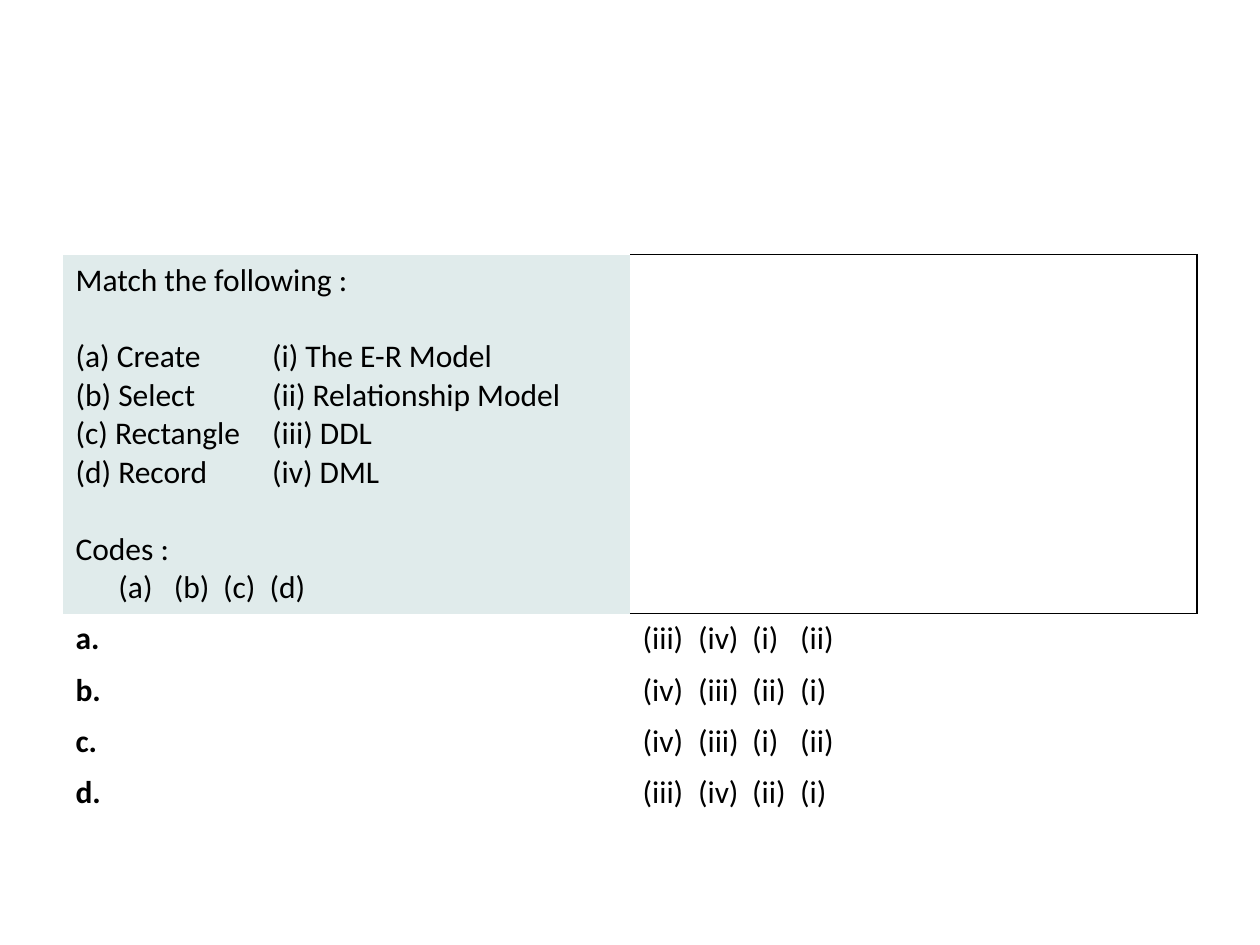
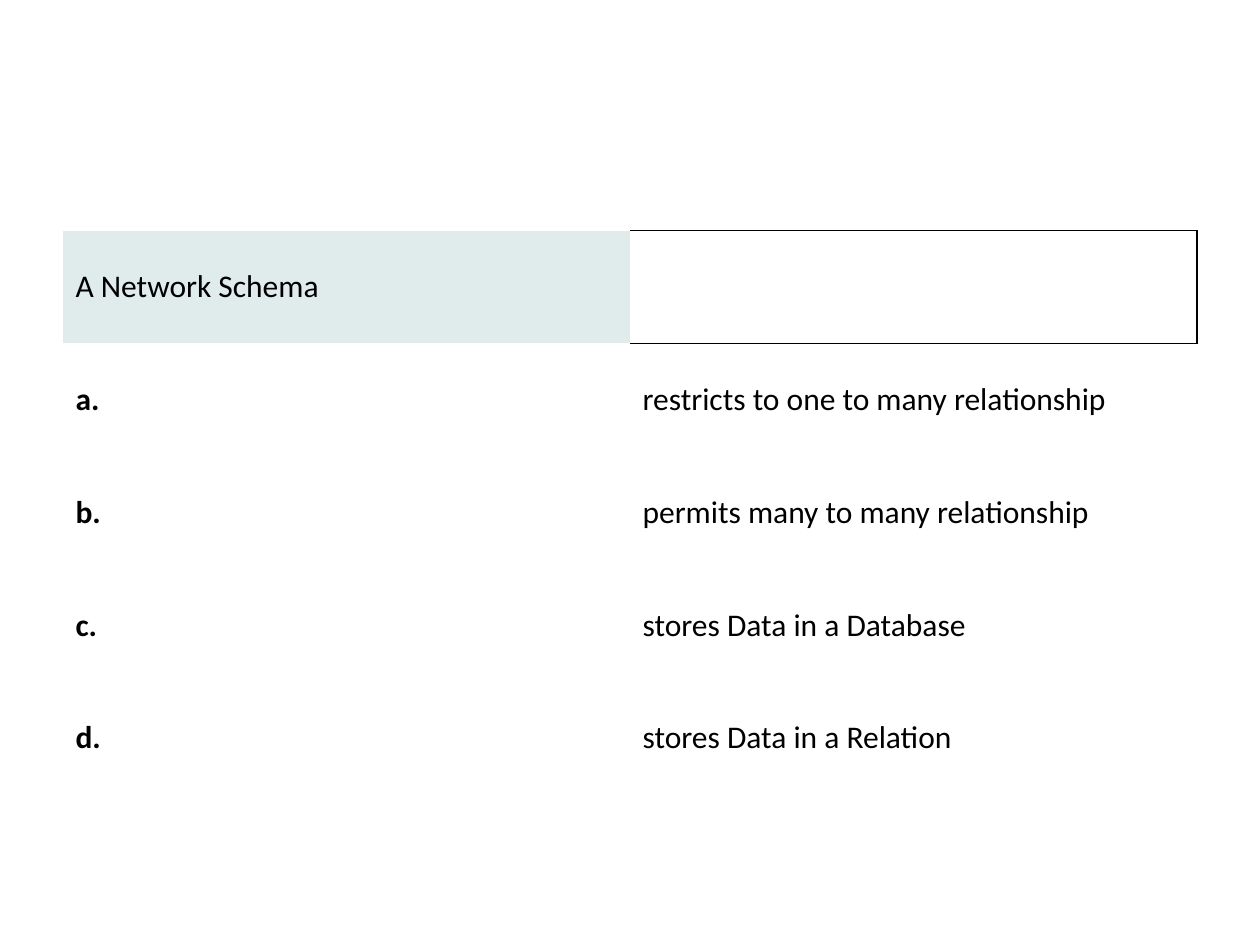
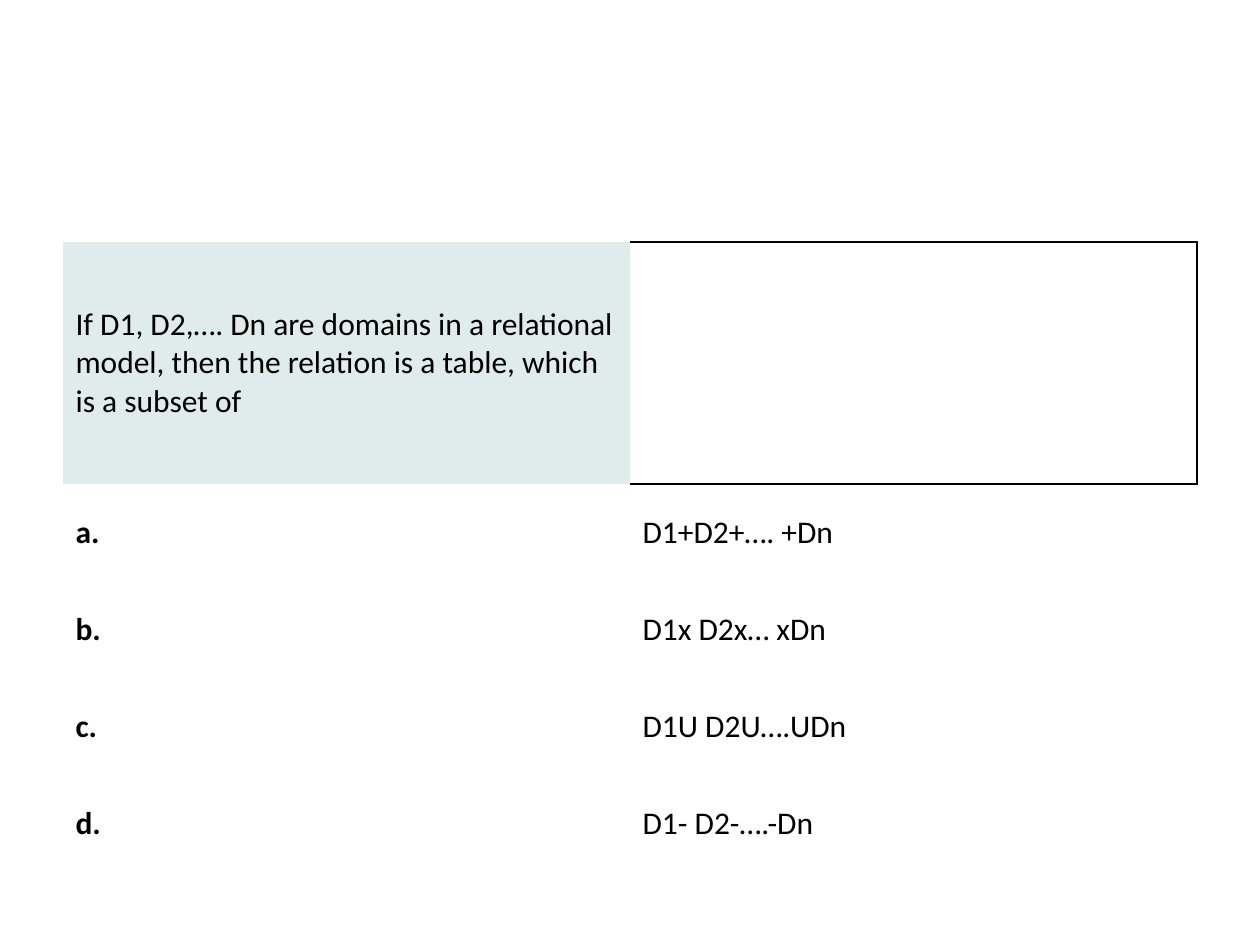
from lxml.etree import SubElement
from pptx import Presentation
from pptx.dml.color import RGBColor
from pptx.enum.text import MSO_ANCHOR
from pptx.oxml.ns import qn
from pptx.util import Inches, Pt

COLORS = {"text": "000000", "border": "000000", "question": "E0EBEB"}
FONT = "Calibri"
NO_STYLE = "{2D5ABB26-0587-4C30-8999-92F81FD0307C}"
MATCH_TABS = [1.56]
CODE_TABS = [0.34, 0.78, 1.17, 1.54]
ANSWER_TABS = [0.44, 0.87, 1.25]

questions = [
    {
        "top": 2.02, "heights": [2.85] + [0.405] * 4,
        "lines": [
            ("Match the following :", 0, []),
            ("(a) Create\t(i) The E-R Model", 22, MATCH_TABS),
            ("(b) Select\t(ii) Relationship Model", 0, MATCH_TABS),
            ("(c) Rectangle\t(iii) DDL", 0, MATCH_TABS),
            ("(d) Record\t(iv) DML", 0, MATCH_TABS),
            ("Codes :", 22, []),
            ("\t(a)\t(b)\t(c)\t(d)", 0, CODE_TABS),
        ],
        "answers": ["(iii)\t(iv)\t(i)\t(ii)", "(iv)\t(iii)\t(ii)\t(i)",
                    "(iv)\t(iii)\t(i)\t(ii)", "(iii)\t(iv)\t(ii)\t(i)"],
    },
    {
        "top": 1.83, "heights": [0.895] * 5,
        "lines": [("A Network Schema", 0, [])],
        "answers": ["restricts to one to many relationship",
                    "permits many to many relationship",
                    "stores Data in a Database",
                    "stores Data in a Relation"],
    },
    {
        "top": 1.92, "heights": [1.92] + [0.77] * 4,
        "lines": [("If D1, D2,…. Dn are domains in a relational model, "
                   "then the relation is a table, which is a subset of", 0, [])],
        "answers": ["D1+D2+…. +Dn", "D1x D2x… xDn",
                    "D1U D2U….UDn", "D1- D2-….-Dn"],
    },
]


def write_cell(cell, lines, bold=False):
    cell.vertical_anchor = MSO_ANCHOR.MIDDLE
    cell.text_frame.text = "\n".join(text for text, _, _ in lines)
    for paragraph, (_, gap, stops) in zip(cell.text_frame.paragraphs, lines):
        paragraph.space_before = Pt(gap)
        if stops:
            tab_list = SubElement(paragraph._p.get_or_add_pPr(), qn("a:tabLst"))
            for stop in stops:
                SubElement(tab_list, qn("a:tab"), pos=str(Inches(stop)), algn="l")
        for run in paragraph.runs:
            run.font.name = FONT
            run.font.size = Pt(18)
            run.font.bold = bold
            run.font.color.rgb = RGBColor.from_string(COLORS["text"])


def add_borders(cell, sides):
    properties = cell._tc.get_or_add_tcPr()
    for side in sides:
        line = SubElement(properties, qn(f"a:ln{side}"), w=str(Pt(1)))
        fill = SubElement(line, qn("a:solidFill"))
        SubElement(fill, qn("a:srgbClr"), val=COLORS["border"])


presentation = Presentation()
presentation.slide_width = Inches(10)
presentation.slide_height = Inches(7.5)

for question in questions:
    slide = presentation.slides.add_slide(presentation.slide_layouts[6])
    heights = question["heights"]
    shape = slide.shapes.add_table(len(heights), 2, Inches(0.5), Inches(question["top"]),
                                   Inches(9), Inches(sum(heights)))
    table = shape.table
    table.first_row = False
    table.horz_banding = False
    table._tbl.tblPr.find(qn("a:tableStyleId")).text = NO_STYLE
    for row, height in zip(table.rows, heights):
        row.height = Inches(height)

    add_borders(table.cell(0, 1), "RTB")
    for cell in table.iter_cells():
        cell.fill.background()

    question_cell = table.cell(0, 0)
    question_cell.fill.solid()
    question_cell.fill.fore_color.rgb = RGBColor.from_string(COLORS["question"])
    write_cell(question_cell, question["lines"])

    for index, (letter, answer) in enumerate(zip("abcd", question["answers"]), 1):
        stops = ANSWER_TABS if "\t" in answer else []
        write_cell(table.cell(index, 0), [(f"{letter}.", 0, [])], bold=True)
        write_cell(table.cell(index, 1), [(answer, 0, stops)])

presentation.save("out.pptx")
